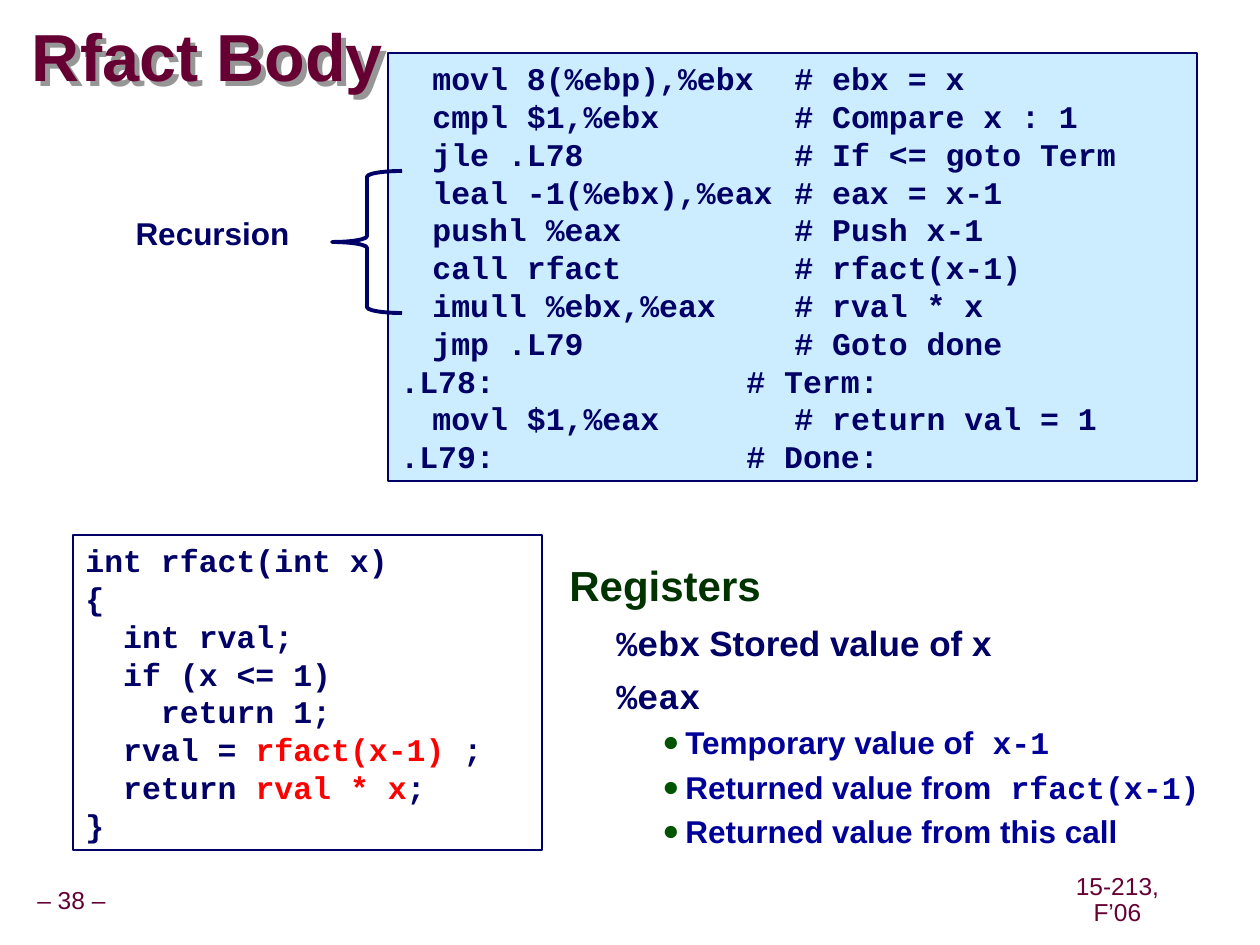
import pptx
import pptx.util
import pptx.dml.color
import pptx.enum.shapes
import pptx.enum.text
import pptx.oxml
import pptx.oxml.ns
import lxml.etree

SANS, MONO = "Arial", "Courier New"
NAVY, WINE, GREEN, BLUE, RED = "000066", "660033", "003300", "000099", "FF0000"
SHAPE = pptx.enum.shapes.MSO_SHAPE
ALIGN = pptx.enum.text.PP_ALIGN
ANCHOR = pptx.enum.text.MSO_ANCHOR

TITLE = "Rfact Body"
ASSEMBLY = [
    "\tmovl 8(%ebp),%ebx\t# ebx = x",
    "\tcmpl $1,%ebx\t\t# Compare x : 1",
    "\tjle .L78\t\t# If <= goto Term",
    "\tleal -1(%ebx),%eax\t# eax = x-1",
    "\tpushl %eax\t\t# Push x-1",
    "\tcall rfact\t\t# rfact(x-1)",
    "\timull %ebx,%eax\t\t# rval * x",
    "\tjmp .L79\t\t# Goto done",
    ".L78:\t# Term:",
    "\tmovl $1,%eax\t\t# return val = 1",
    ".L79:\t# Done:",
]
ASSEMBLY_TABS = (32, 346, 394)
C_CODE = [
    [("int rfact(int x)", NAVY)],
    [("{", NAVY)],
    [("  int rval;", NAVY)],
    [("  if (x <= 1)", NAVY)],
    [("    return 1;", NAVY)],
    [("  rval = ", NAVY), ("rfact(x-1)", RED), (" ;", NAVY)],
    [("  return ", NAVY), ("rval * x", RED), (";", NAVY)],
    [("}", NAVY)],
]
REGISTERS = [
    ("heading", [("Registers", SANS)]),
    ("register", [("%ebx\t", MONO), ("Stored value of x", SANS)]),
    ("register", [("%eax", MONO)]),
    ("use", [("Temporary value of", SANS), (" x-1", MONO)]),
    ("use", [("Returned value from", SANS), (" rfact(x-1)", MONO)]),
    ("use", [("Returned value from this call", SANS)]),
]
LEVELS = {
    "heading": dict(size=24, color=GREEN, left=30, hang=30, spacing=0.95, before=0),
    "register": dict(size=20, color=NAVY, left=77, hang=30, spacing=1.0, before=6.2),
    "use": dict(size=18, color=BLUE, left=116, hang=23, spacing=1.07, before=2.2),
}
REGISTER_TAB = 203
FOOTERS = [("– 38 –", (-11, 882, 165, 39)), ("15-213, F’06", (1042, 881, 151, 39))]


def px(n):
    return pptx.util.Emu(round(n * 914400 / 126))


def rgb(color):
    return pptx.dml.color.RGBColor.from_string(color)


def add_run(p, text, font, size, color, bold=True):
    r = p.add_run()
    r.text = text
    r.font.name, r.font.size, r.font.bold = font, pptx.util.Pt(size), bold
    r.font.color.rgb = rgb(color)


def paragraphs(tf, items):
    for i, item in enumerate(items):
        yield (tf.add_paragraph() if i else tf.paragraphs[0]), item


def add_xml(parent, xml):
    parent.append(pptx.oxml.parse_xml(
        xml.replace(">", f" {pptx.oxml.ns.nsdecls('a')}>", 1)
        if not xml.endswith("/>") or xml.count("<") > 1
        else xml[:-2] + f" {pptx.oxml.ns.nsdecls('a')}/>"))


def add_tabs(p, stops):
    tabs = "".join(f'<a:tab pos="{px(x)}" algn="l"/>' for x in stops)
    add_xml(p._p.get_or_add_pPr(), f"<a:tabLst>{tabs}</a:tabLst>")


def add_text_box(slide, box, wrap=True):
    tf = slide.shapes.add_textbox(*map(px, box)).text_frame
    tf.word_wrap = wrap
    return tf


def add_outline(slide, kind, box, width, fill=None):
    s = slide.shapes.add_shape(kind, *map(px, box))
    s.shadow.inherit = False
    s.line.color.rgb, s.line.width = rgb(NAVY), pptx.util.Pt(width)
    if fill:
        s.fill.solid()
        s.fill.fore_color.rgb = rgb(fill)
    else:
        s.fill.background()
    s.text_frame.vertical_anchor = ANCHOR.TOP
    return s


def add_title(slide):
    s = slide.shapes.title
    s.left, s.top, s.width, s.height = map(px, (32, 21, 431, 79))
    tf = s.text_frame
    tf.margin_left = tf.margin_right = tf.margin_top = tf.margin_bottom = 0
    tf.vertical_anchor = ANCHOR.MIDDLE
    tf.auto_size = pptx.enum.text.MSO_AUTO_SIZE.NONE
    p = tf.paragraphs[0]
    p.alignment, p.line_spacing = ALIGN.LEFT, 0.87
    add_run(p, TITLE, SANS, 38, WINE)
    add_xml(s._element.spPr,
            f'<a:effectLst><a:outerShdw dist="{px(7)}" dir="2700000">'
            '<a:srgbClr val="969696"/></a:outerShdw></a:effectLst>')


def add_registers(slide):
    tf = add_text_box(slide, (557, 557, 674, 305))
    for p, (level, runs) in paragraphs(tf, REGISTERS):
        style = LEVELS[level]
        p.line_spacing = style["spacing"]
        p.space_before = pptx.util.Pt(style["before"])
        pPr = p._p.get_or_add_pPr()
        pPr.set("marL", str(px(style["left"])))
        pPr.set("indent", str(-px(style["hang"])))
        if level == "use":
            add_xml(pPr, '<a:buClr><a:srgbClr val="005400"/></a:buClr>')
            add_xml(pPr, '<a:buSzPct val="90000"/>')
            add_xml(pPr, '<a:buFont typeface="Arial"/>')
            add_xml(pPr, '<a:buChar char="●"/>')
        else:
            add_xml(pPr, "<a:buNone/>")
        if level == "register":
            add_tabs(p, [REGISTER_TAB])
        for text, font in runs:
            add_run(p, text, font, style["size"], style["color"])


def main():
    prs = pptx.Presentation()
    prs.slide_width, prs.slide_height = px(1260), px(945)
    slide = prs.slides.add_slide(prs.slide_layouts[5])

    for text, box in FOOTERS:
        tf = add_text_box(slide, box, wrap=False)
        tf.vertical_anchor = ANCHOR.MIDDLE
        p = tf.paragraphs[0]
        p.alignment, p.line_spacing = ALIGN.CENTER, 0.9
        add_run(p, text, SANS, 14, WINE, bold=False)

    add_title(slide)
    add_registers(slide)

    assembly = add_outline(slide, SHAPE.RECTANGLE, (388, 53, 809, 428), 1, "CCECFF")
    for p, line in paragraphs(assembly.text_frame, ASSEMBLY):
        p.alignment = ALIGN.LEFT
        add_tabs(p, ASSEMBLY_TABS)
        add_run(p, line, MONO, 18, NAVY)

    c_code = add_outline(slide, SHAPE.RECTANGLE, (73, 535, 469, 315), 1)
    for p, runs in paragraphs(c_code.text_frame, C_CODE):
        p.alignment = ALIGN.LEFT
        for text, color in runs:
            add_run(p, text, MONO, 18, color)

    add_outline(slide, SHAPE.LEFT_BRACE, (332, 171, 70, 142), 2.25)
    p = add_text_box(slide, (123, 208, 179, 50), wrap=False).paragraphs[0]
    p.alignment = ALIGN.RIGHT
    add_run(p, "Recursion", SANS, 18, NAVY)

    prs.save("out.pptx")


if __name__ == "__main__":
    main()
